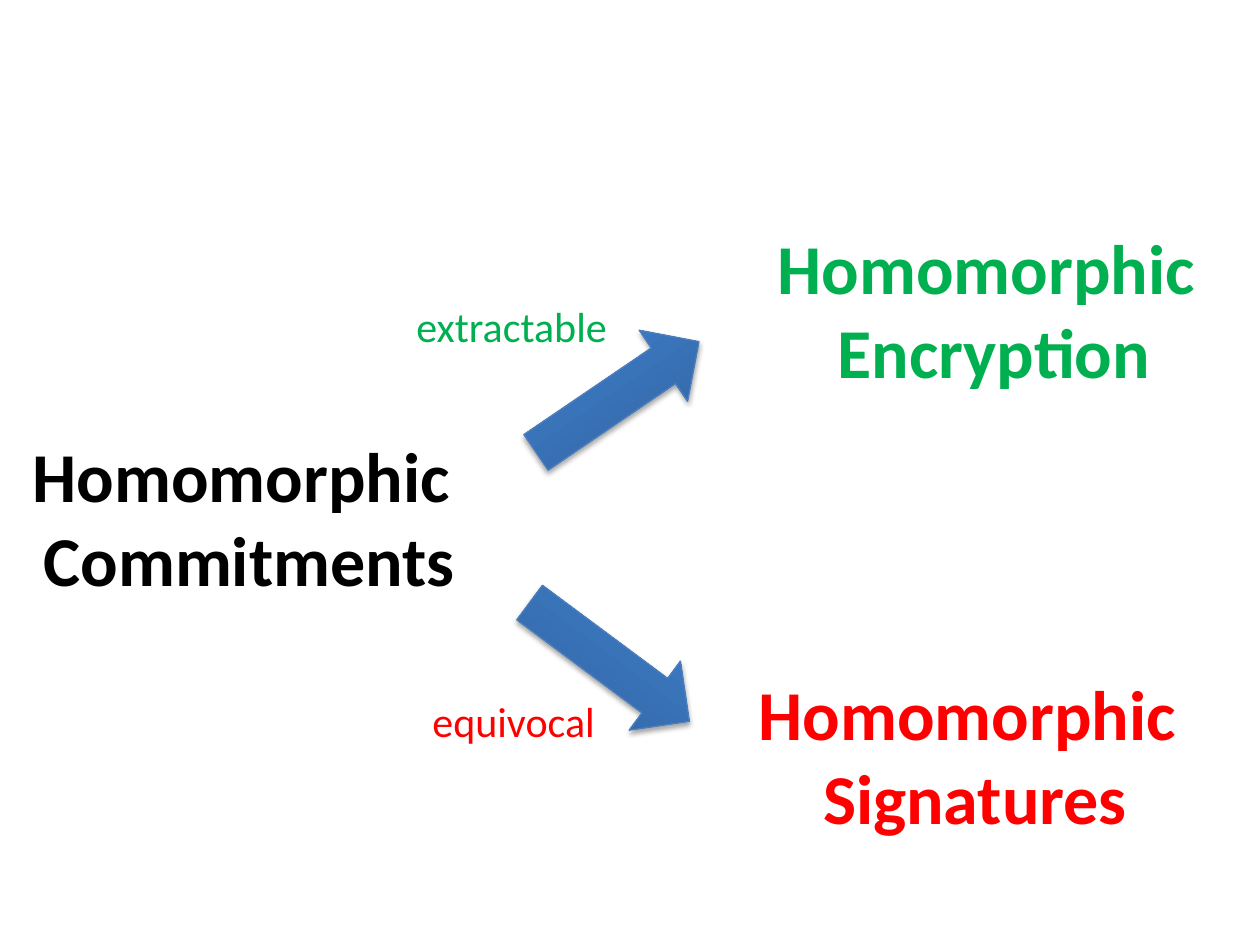
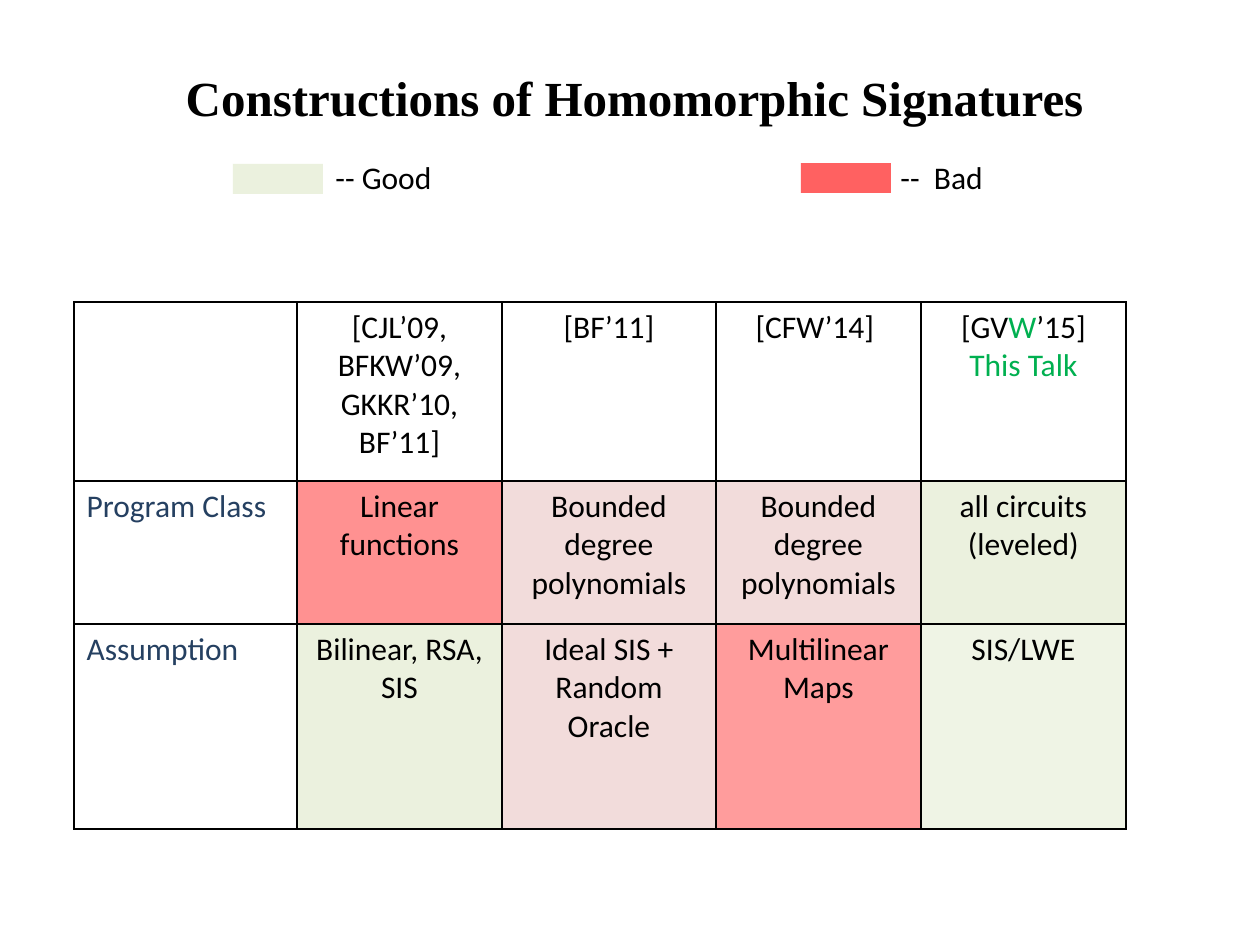
from lxml import etree
from pptx import Presentation
from pptx.dml.color import RGBColor
from pptx.enum.shapes import MSO_SHAPE
from pptx.enum.text import MSO_AUTO_SIZE, PP_ALIGN
from pptx.oxml import parse_xml
from pptx.oxml.ns import nsdecls, qn
from pptx.util import Pt

ARROW, RECTANGLE = MSO_SHAPE.RIGHT_ARROW, MSO_SHAPE.RECTANGLE
LEFT, CENTER = PP_ALIGN.LEFT, PP_ALIGN.CENTER
FIT_SHAPE = MSO_AUTO_SIZE.SHAPE_TO_FIT_TEXT
EMU_PER_PX = 914400 / 126

COLORS = {
    "black": "000000", "green": "00B050", "red": "FF0000", "navy": "254061",
    "rose": "F2DCDB", "mint": "EBF1DE", "olive": "D7E4BD", "outline": "4B7EBC",
}
ARROW_STOPS = [(0, "2F5F99"), (80, "3D7CC7"), (100, "3A7CCB")]

FORMATS = {
    "concept": {"name": "Calibri", "size": Pt(40), "bold": True},
    "label": {"name": "Calibri", "size": Pt(24), "bold": False},
    "body": {"name": "Calibri", "size": Pt(18), "bold": False},
    "title": {"name": "Times New Roman", "size": Pt(28), "bold": True},
}

CONCEPTS = [
    ("Commitments", "black", (14, 426)),
    ("Encryption", "green", (759, 218)),
    ("Signatures", "red", (740, 664)),
]
CONCEPT_SIZE = (470, 183)
ARROWS = [((519, 354, 197, 86), 325.8), ((510, 619, 199, 86), 36.6)]
ARROW_LABELS = [
    ("extractable", "green", (404, 294, 218, 63)),
    ("equivocal", "red", (420, 689, 190, 63)),
]

TITLE = ("Constructions of Homomorphic Signatures", (84, 61, 1101, 118))
LEGEND = [
    ("-- Good", ("mint", 100), (233, 164), (323, 152, 122, 50)),
    ("--  Bad", ("red", 62), (801, 163), (888, 152, 108, 50)),
]
SWATCH_SIZE = (90, 30)

TABLE_ORIGIN = (74, 302)
COLUMN_WIDTHS = [223, 205, 214, 205, 205]
ROW_HEIGHTS = [179, 143, 205]
TABLE_ROWS = [
    [
        ([], None),
        (["[CJL’09, BFKW’09, GKKR’10, BF’11]"], None),
        (["[BF’11]"], None),
        (["[CFW’14] "], None),
        ([[("[GV", "black"), ("W", "green"), ("’15]", "black")],
          [("This Talk", "green")]], None),
    ],
    [
        ([[("Program Class", "navy")]], None),
        (["Linear functions"], ("red", 43)),
        (["Bounded degree polynomials"], ("rose", 100)),
        (["Bounded degree polynomials"], ("rose", 100)),
        (["all circuits", "(leveled)"], ("mint", 100)),
    ],
    [
        ([[("Assumption", "navy")]], None),
        (["Bilinear, RSA, SIS"], ("mint", 100)),
        (["Ideal SIS + Random Oracle"], ("rose", 100)),
        (["Multilinear Maps"], ("red", 39)),
        (["SIS/LWE"], ("olive", 39)),
    ],
]


def px(length):
    return round(length * EMU_PER_PX)


def scaled(lengths):
    return [px(length) for length in lengths]


def rgb(color):
    return RGBColor.from_string(COLORS[color])


def write(frame, paragraphs, style, color="black", align=LEFT):
    for index, content in enumerate(paragraphs):
        para = frame.paragraphs[0] if index == 0 else frame.add_paragraph()
        para.alignment = align
        spans = [(content, color)] if isinstance(content, str) else content
        for text, span_color in spans:
            span = para.add_run()
            span.text = text
            for attribute, value in FORMATS[style].items():
                setattr(span.font, attribute, value)
            span.font.color.rgb = rgb(span_color)


def add_text(page, place, paragraphs, style, color="black", align=LEFT, wrap=False):
    box = page.shapes.add_textbox(*scaled(place))
    box.text_frame.word_wrap = wrap
    if not wrap:
        box.text_frame.auto_size = FIT_SHAPE
    write(box.text_frame, paragraphs, style, color, align)


def paint(fill, properties, color, opacity):
    fill.solid()
    fill.fore_color.rgb = rgb(color)
    if opacity < 100:
        tone = properties.find(qn("a:solidFill")).find(qn("a:srgbClr"))
        etree.SubElement(tone, qn("a:alpha")).set("val", str(opacity * 1000))


def add_arrow(page, place, rotation):
    arrow = page.shapes.add_shape(ARROW, *scaled(place))
    arrow.rotation = rotation
    arrow.line.color.rgb = rgb("outline")
    arrow.line.width = Pt(0.75)
    stops = "".join(
        f'<a:gs pos="{position * 1000}"><a:srgbClr val="{tone}"/></a:gs>'
        for position, tone in ARROW_STOPS
    )
    gradient = parse_xml(
        f'<a:gradFill {nsdecls("a")} rotWithShape="1"><a:gsLst>{stops}</a:gsLst>'
        '<a:lin ang="16200000" scaled="0"/></a:gradFill>'
    )
    shadow = parse_xml(
        f'<a:effectLst {nsdecls("a")}><a:outerShdw blurRad="{Pt(3.1)}" dist="{Pt(1.8)}" '
        'dir="5400000" rotWithShape="0"><a:srgbClr val="000000"><a:alpha val="35000"/>'
        '</a:srgbClr></a:outerShdw></a:effectLst>'
    )
    properties = arrow._element.spPr
    properties.find(qn("a:prstGeom")).addnext(gradient)
    properties.find(qn("a:ln")).addnext(shadow)


def add_swatch(page, corner, color, opacity):
    swatch = page.shapes.add_shape(RECTANGLE, *scaled(corner + SWATCH_SIZE))
    swatch.shadow.inherit = False
    swatch.line.fill.background()
    paint(swatch.fill, swatch._element.spPr, color, opacity)


def add_borders(properties):
    for index, side in enumerate(("lnL", "lnR", "lnT", "lnB")):
        properties.insert(index, parse_xml(
            f'<a:{side} {nsdecls("a")} w="{Pt(1)}"><a:solidFill>'
            f'<a:srgbClr val="{COLORS["black"]}"/></a:solidFill></a:{side}>'
        ))


def add_comparison(page):
    size = (sum(COLUMN_WIDTHS), sum(ROW_HEIGHTS))
    table = page.shapes.add_table(
        len(ROW_HEIGHTS), len(COLUMN_WIDTHS), *scaled(TABLE_ORIGIN + size)
    ).table
    table.first_row = table.horz_banding = False
    for column, width in zip(table.columns, COLUMN_WIDTHS):
        column.width = px(width)
    for row, height, contents in zip(table.rows, ROW_HEIGHTS, TABLE_ROWS):
        row.height = px(height)
        for index, (cell, (paragraphs, tint)) in enumerate(zip(row.cells, contents)):
            write(cell.text_frame, paragraphs, "body", align=CENTER if index else LEFT)
            properties = cell._tc.get_or_add_tcPr()
            if tint:
                paint(cell.fill, properties, *tint)
            else:
                cell.fill.background()
            add_borders(properties)


def build_concepts(page):
    for place, rotation in ARROWS:
        add_arrow(page, place, rotation)
    for name, color, corner in CONCEPTS:
        add_text(page, corner + CONCEPT_SIZE, ["Homomorphic ", name], "concept", color, CENTER)
    for label, color, place in ARROW_LABELS:
        add_text(page, place, [label], "label", color)


def build_constructions(page):
    add_comparison(page)
    for label, tint, corner, place in LEGEND:
        add_swatch(page, corner, *tint)
        add_text(page, place, [label], "body")
    title, place = TITLE
    add_text(page, place, [title], "title", align=CENTER, wrap=True)


def main():
    deck = Presentation()
    deck.slide_width, deck.slide_height = scaled((1260, 945))
    for build in (build_concepts, build_constructions):
        build(deck.slides.add_slide(deck.slide_layouts[6]))
    deck.save("out.pptx")


if __name__ == "__main__":
    main()
